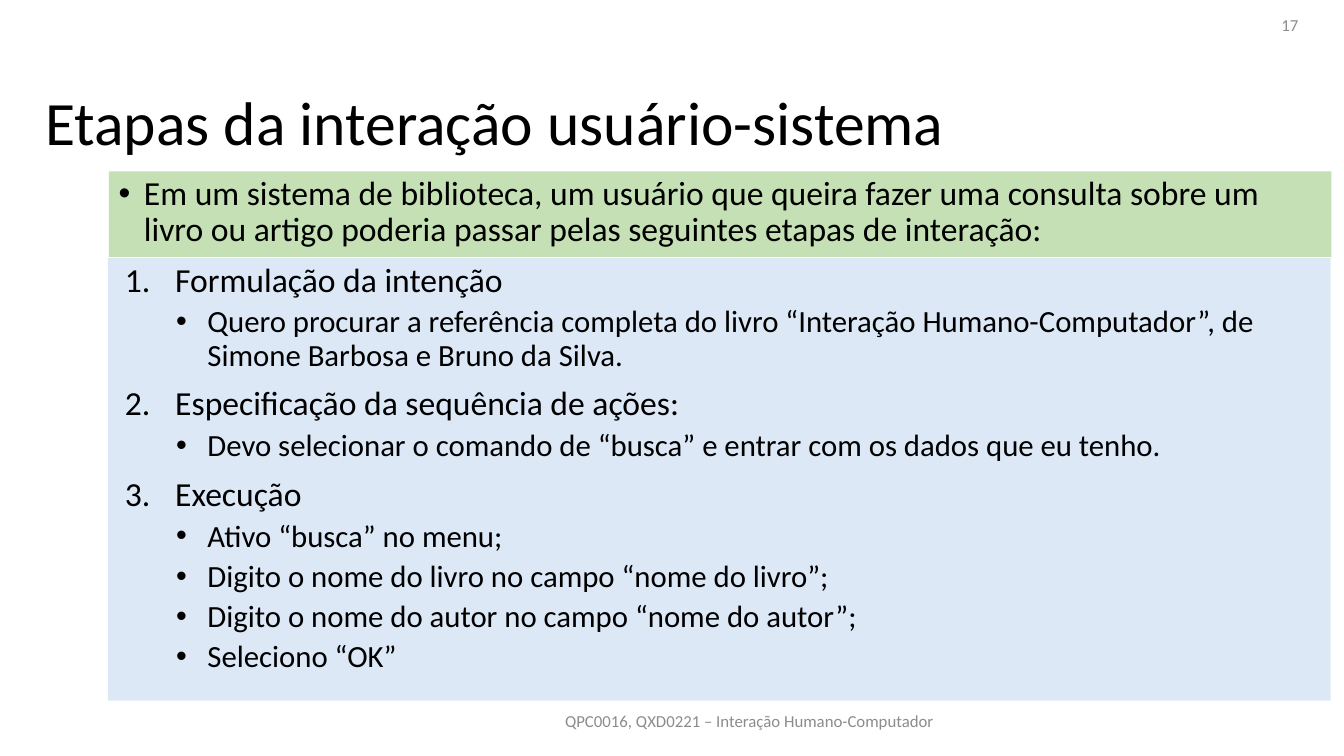
from lxml import etree
from pptx import Presentation, util as u
from pptx.dml.color import RGBColor
from pptx.enum import shapes, text
from pptx.oxml import ns

CELL = 0.1
COLS, ROWS = 133.33, 75
FONT = "Calibri"
STEPS = [
    ("Formulação da intenção", [
        "Quero procurar a referência completa do livro “Interação Humano-Computador”, "
        "de Simone Barbosa e Bruno da Silva.",
    ]),
    ("Especificação da sequência de ações:", [
        "Devo selecionar o comando de “busca” e entrar com os dados que eu tenho.",
    ]),
    ("Execução", [
        "Ativo “busca” no menu;",
        "Digito o nome do livro no campo “nome do livro”;",
        "Digito o nome do autor no campo “nome do autor”;",
        "Seleciono “OK”",
    ]),
]


def grid(count):
    return u.Inches(count * CELL)


def color(code):
    return RGBColor.from_string(code)


def mark(para, left, hang, number=False):
    props = para._p.get_or_add_pPr()
    props.set("marL", str(grid(left)))
    props.set("indent", str(-grid(hang)))
    face = etree.SubElement(props, ns.qn("a:buFont"))
    face.set("typeface", FONT if number else "Arial")
    if number:
        etree.SubElement(props, ns.qn("a:buAutoNum")).set("type", "arabicPeriod")
    else:
        etree.SubElement(props, ns.qn("a:buChar")).set("char", "•")


def write(frame, words, size=24, tint="000000", align="LEFT", line=0.9,
          before=0, level=0, bullet=None, number=False):
    first = not frame.paragraphs[0].runs
    para = frame.paragraphs[0] if first else frame.add_paragraph()
    para.level = level
    if bullet:
        mark(para, *bullet, number=number)
    para.alignment = getattr(text.PP_ALIGN, align)
    para.line_spacing = line
    para.space_before = u.Pt(0 if first else before)
    run = para.add_run()
    run.text = words
    run.font.name = FONT
    run.font.size = u.Pt(size)
    run.font.color.rgb = color(tint)


def label(slide, place, words, **style):
    frame = slide.shapes.add_textbox(*map(grid, place)).text_frame
    frame.word_wrap = True
    frame.vertical_anchor = text.MSO_ANCHOR.MIDDLE
    write(frame, words, **style)


def panel(slide, place, fill):
    shape = slide.shapes.add_shape(shapes.MSO_SHAPE.RECTANGLE, *map(grid, place))
    shape.shadow.inherit = False
    shape.fill.solid()
    shape.fill.fore_color.rgb = color(fill)
    shape.line.fill.background()
    frame = shape.text_frame
    frame.word_wrap = True
    frame.vertical_anchor = text.MSO_ANCHOR.TOP
    return frame


def main():
    deck = Presentation()
    deck.slide_width, deck.slide_height = grid(COLS), grid(ROWS)
    slide = deck.slides.add_slide(deck.slide_layouts[6])

    label(slide, (3.5, 6.5, 126.1, 12), "Etapas da interação usuário-sistema", size=44)

    body = panel(slide, (10.7, 25.6, 121.3, 43.9), "DDE8F7")
    for step, notes in STEPS:
        write(body, step, before=10, bullet=(5.7, 5), number=True)
        for note in notes:
            write(body, note, size=22, before=5, level=1, bullet=(8.9, 3.1))

    small = dict(size=12, tint="8C8C8C", line=1)
    label(slide, (34.9, 69.5, 78.9, 4), "QPC0016, QXD0221 – Interação Humano-Computador",
          align="CENTER", **small)
    label(slide, (99.8, 0.5, 30, 4), "17", align="RIGHT", **small)

    intro = panel(slide, (10.8, 17, 121.3, 8.5), "C5E0B4")
    write(intro, "Em um sistema de biblioteca, um usuário que queira fazer uma consulta "
          "sobre um livro ou artigo poderia passar pelas seguintes etapas de interação:",
          bullet=(2.5, 2.5))

    deck.save("out.pptx")


if __name__ == "__main__":
    main()
